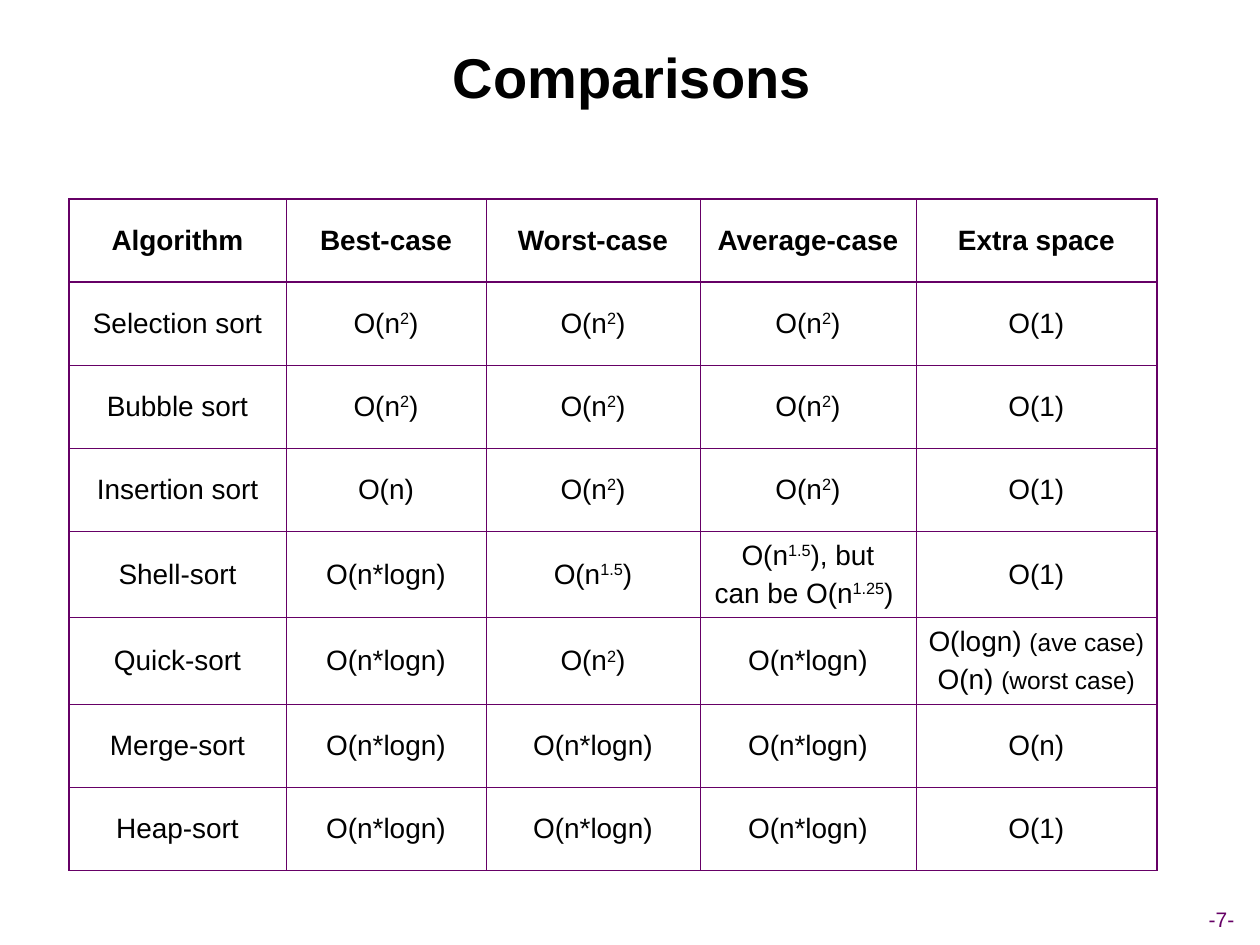
from lxml import etree
from pptx import Presentation
from pptx.dml.color import RGBColor
from pptx.enum.text import MSO_ANCHOR, PP_ALIGN
from pptx.oxml.ns import qn
from pptx.util import Pt

CENTER, MIDDLE = PP_ALIGN.CENTER, MSO_ANCHOR.MIDDLE
BLACK = RGBColor(0x00, 0x00, 0x00)
PURPLE = RGBColor(0x66, 0x00, 0x66)
FONT = "Arial"
THIN, THICK = Pt(0.45), Pt(1.08)

COL_WIDTHS = [217, 200, 214, 216, 241]
ROW_HEIGHTS = [83, 83, 83, 83, 86, 86, 83, 83]

# Pieces between bars are special: a small note in brackets, else a superscript
SQUARE, LINEARITHMIC = "O(n|2|)", "O(n*logn)"
ROWS = [
    ["Algorithm", "Best-case", "Worst-case", "Average-case", "Extra space"],
    ["Selection sort", SQUARE, SQUARE, SQUARE, "O(1)"],
    ["Bubble sort", SQUARE, SQUARE, SQUARE, "O(1)"],
    ["Insertion sort", "O(n)", SQUARE, SQUARE, "O(1)"],
    ["Shell-sort", LINEARITHMIC, "O(n|1.5|)",
     "O(n|1.5|), but\ncan be O(n|1.25|) ", "O(1)"],
    ["Quick-sort", LINEARITHMIC, SQUARE, LINEARITHMIC,
     "O(logn) |(ave case)|\nO(n) |(worst case)|"],
    ["Merge-sort", LINEARITHMIC, LINEARITHMIC, LINEARITHMIC, "O(n)"],
    ["Heap-sort", LINEARITHMIC, LINEARITHMIC, LINEARITHMIC, "O(1)"],
]


def px(n):
    return round(n * 914400 / 126)


def style(p, size, color, bold=False):
    p.alignment = CENTER
    p.font.name, p.font.size, p.font.bold = FONT, Pt(size), bold
    p.font.color.rgb = color


def add_title(s, x, y, w, h):
    title = s.shapes.title
    title.left, title.top, title.width, title.height = map(px, (x, y, w, h))
    tf = title.text_frame
    tf.text = "Comparisons"
    tf.vertical_anchor = MIDDLE
    style(tf.paragraphs[0], 32, BLACK, True)


def add_page_number(s, x, y, w, h):
    tf = s.shapes.add_textbox(*map(px, (x, y, w, h))).text_frame
    tf.word_wrap = False
    tf.vertical_anchor = MIDDLE
    tf.text = "-7-"
    style(tf.paragraphs[0], 12, PURPLE)


def fill_cell(cell, text, bold):
    cell.fill.background()
    cell.vertical_anchor = MIDDLE
    cell.margin_left = cell.margin_right = px(9)
    for i, line in enumerate(text.split("\n")):
        tf = cell.text_frame
        p = tf.add_paragraph() if i else tf.paragraphs[0]
        style(p, 16, BLACK, bold)
        if i:
            p.space_before = Pt(4)
        for j, piece in enumerate(line.split("|")):
            if not piece:
                continue
            r = p.add_run()
            r.text = piece
            if j % 2 and piece.startswith("("):
                r.font.size = Pt(14)
            elif j % 2:
                r.font._element.set("baseline", "30000")


def set_borders(cell, widths):
    tcPr = cell._tc.get_or_add_tcPr()
    for i, (side, width) in enumerate(zip("LRTB", widths)):
        ln = etree.Element(qn(f"a:ln{side}"), w=str(width))
        solid = etree.SubElement(ln, qn("a:solidFill"))
        etree.SubElement(solid, qn("a:srgbClr"), val=str(PURPLE))
        tcPr.insert(i, ln)


def add_comparison_table(s, x, y):
    n_rows, n_cols = len(ROWS), len(COL_WIDTHS)
    table = s.shapes.add_table(n_rows, n_cols, px(x), px(y),
                               px(sum(COL_WIDTHS)), px(sum(ROW_HEIGHTS))).table
    table.horz_banding = False
    for col, width in zip(table.columns, COL_WIDTHS):
        col.width = px(width)
    for row, height in zip(table.rows, ROW_HEIGHTS):
        row.height = px(height)
    for i, row in enumerate(ROWS):
        for j, text in enumerate(row):
            cell = table.cell(i, j)
            fill_cell(cell, text, bold=i == 0)
            # Thick frame and header rule, thin grid inside
            thick = (j == 0, j == n_cols - 1, i <= 1, i in (0, n_rows - 1))
            set_borders(cell, [THICK if t else THIN for t in thick])


def main():
    prs = Presentation()
    prs.slide_width, prs.slide_height = px(1260), px(945)
    s = prs.slides.add_slide(prs.slide_layouts[5])
    add_page_number(s, 1154, 900, 135, 38)
    add_title(s, 48, 16, 1168, 120)
    add_comparison_table(s, 69, 199)
    prs.save("out.pptx")


if __name__ == "__main__":
    main()
